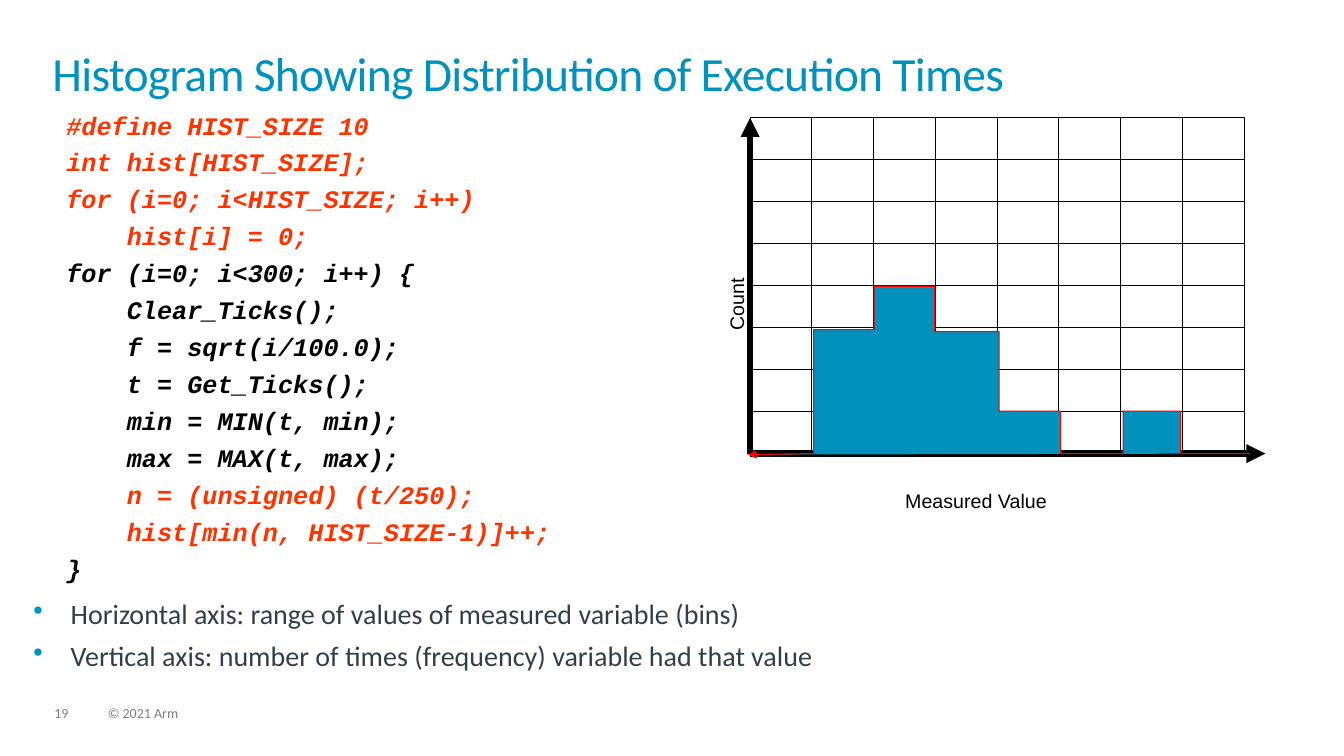
from itertools import product
from lxml.etree import SubElement
from pptx import Presentation
from pptx.dml.color import RGBColor
from pptx.enum.shapes import MSO_CONNECTOR, MSO_SHAPE
from pptx.enum.text import MSO_ANCHOR
from pptx.oxml.ns import qn
from pptx.util import Inches, Pt

BLUE = RGBColor(0x00, 0x91, 0xBD)
SLATE = RGBColor(0x33, 0x3E, 0x48)
GRAY = RGBColor(0x7F, 0x7F, 0x7F)
BLACK = RGBColor(0, 0, 0)
RED = RGBColor(0xFF, 0, 0)
ORANGE = RGBColor(0xFF, 0x33, 0)

TITLE = {"name": "Calibri", "size": Pt(34)}
BODY = {"name": "Calibri", "size": Pt(20)}
FOOT = {"name": "Calibri", "size": Pt(10)}
LABEL = {"name": "Arial", "size": Pt(14)}
MONO = {"name": "Courier New", "size": Pt(18), "bold": True, "italic": True}

CODE = [
    ("#define HIST_SIZE 10", ORANGE),
    ("int hist[HIST_SIZE];", ORANGE),
    ("for (i=0; i<HIST_SIZE; i++)", ORANGE),
    ("    hist[i] = 0;", ORANGE),
    ("for (i=0; i<300; i++) {", BLACK),
    ("    Clear_Ticks();", BLACK),
    ("    f = sqrt(i/100.0);", BLACK),
    ("    t = Get_Ticks();", BLACK),
    ("    min = MIN(t, min);", BLACK),
    ("    max = MAX(t, max);", BLACK),
    ("    n = (unsigned) (t/250);", ORANGE),
    ("    hist[min(n, HIST_SIZE-1)]++;", ORANGE),
    ("}", BLACK),
]
POINTS = [
    "Horizontal axis: range of values of measured variable (bins)",
    "Vertical axis: number of times (frequency) variable had that value",
]
STEPS = [(0.63, 1.23), (1.23, 1.66), (1.83, 1.21), (2.47, 0.42),
         (3.08, 0), (3.7, 0.42), (4.27, 0)]


def add_text(slide, box, lines, style, gap=0, pads=(0, 0, 0, 0)):
    """Add a text box of (text, color) lines and return it."""
    shape = slide.shapes.add_textbox(*map(Inches, box))
    frame = shape.text_frame
    frame.word_wrap = True
    for side, pad in zip(("left", "top", "right", "bottom"), pads):
        setattr(frame, f"margin_{side}", Inches(pad))
    for i, (text, color) in enumerate(lines):
        para = frame.paragraphs[0] if i == 0 else frame.add_paragraph()
        para.space_before = Pt(gap if i else 0)
        run = para.add_run()
        run.text = text
        for key, value in style.items():
            setattr(run.font, key, value)
        run.font.color.rgb = color
    return shape


def add_title(slide, box):
    """Place the slide title."""
    shape = add_text(
        slide, box,
        [("Histogram Showing Distribution of Execution Times", BLUE)], TITLE)
    para = shape.text_frame.paragraphs[0]
    para.line_spacing = 0.85
    para.runs[0].font._element.set("spc", "-50")


def add_points(slide, box):
    """Place the bulleted notes on the axes."""
    shape = add_text(slide, box, [(text, SLATE) for text in POINTS], BODY, 6)
    for para in shape.text_frame.paragraphs:
        props = para._p.get_or_add_pPr()
        props.set("marL", str(Inches(0.37)))
        props.set("indent", str(-Inches(0.37)))
        tint = SubElement(props, qn("a:buClr"))
        SubElement(tint, qn("a:srgbClr"), val=str(BLUE))
        SubElement(props, qn("a:buChar"), char="•")


def add_foot(slide, box):
    """Place the page number and the copyright line."""
    left, top, width, height = box
    for shift, wide, text in ((0, 0.34, "19"),
                              (0.53, width - 0.53, "© 2021 Arm")):
        shape = add_text(slide, (left + shift, top, wide, height),
                         [(text, GRAY)], FOOT)
        shape.text_frame.paragraphs[0].line_spacing = 0.9


def add_tip(shape, end):
    """Put a triangle on one end of a line."""
    line = shape._element.spPr.find(qn("a:ln"))
    SubElement(line, qn(f"a:{end}"), type="triangle")


def add_axis(slide, start, stop):
    """Draw a thick black axis arrow."""
    axis = slide.shapes.add_connector(
        MSO_CONNECTOR.STRAIGHT, *map(Inches, start + stop))
    axis.line.color.rgb = BLACK
    axis.line.width = Pt(4.5)
    add_tip(axis, "tailEnd")
    SubElement(axis._element.spPr, qn("a:effectLst"))


def add_grid(slide, box, count):
    """Draw a square count of empty cells."""
    left, top, width, height = box
    wide, high = width / count, height / count
    for row, col in product(range(count), repeat=2):
        cell = slide.shapes.add_shape(
            MSO_SHAPE.RECTANGLE, Inches(left + col * wide),
            Inches(top + row * high), Inches(wide), Inches(high))
        cell.shadow.inherit = False
        cell.fill.background()
        cell.line.color.rgb = BLACK
        cell.line.width = Pt(0.75)


def add_bars(slide, left, base):
    """Draw the stepped outline of the counts."""
    dots, level = [], 0
    for x, rise in STEPS:
        dots += [(x, level), (x, rise)]
        level = rise
    dots.append((4.96, 0))
    form = slide.shapes.build_freeform(Inches(left - 0.02), Inches(base + 0.01))
    form.add_line_segments(
        [(Inches(left + x), Inches(base - y)) for x, y in dots], close=False)
    bars = form.convert_to_shape()
    bars.shadow.inherit = False
    bars.fill.solid()
    bars.fill.fore_color.rgb = BLUE
    bars.line.color.rgb = RED
    bars.line.width = Pt(0.75)
    add_tip(bars, "headEnd")


def add_plot(slide, box):
    """Draw the histogram with its labels, axes, grid and bars."""
    left, top, width, height = box
    base = top + height
    for x, y, wide, text, turn in (
            (1.44, 3.41, 2.63, "Measured Value", 0),
            (-0.82, 1.41, 1.1, "Count", 270)):
        label = add_text(slide, (left + x, top + y, wide, 0.5),
                         [(text, BLACK)], LABEL, pads=(0.1, 0.05, 0.1, 0))
        label.text_frame.vertical_anchor = MSO_ANCHOR.BOTTOM
        label.rotation = turn
    add_axis(slide, (left, base), (left + width + 0.21, base))
    add_axis(slide, (left, base), (left, top))
    add_grid(slide, box, 8)
    add_bars(slide, left, base)


def main():
    """Build and save the slide."""
    deck = Presentation()
    deck.slide_width, deck.slide_height = Inches(13.33), Inches(7.5)
    slide = deck.slides.add_slide(deck.slide_layouts[6])
    add_foot(slide, (0.54, 7.01, 5.6, 0.15))
    add_title(slide, (0.52, 0.52, 12.28, 0.72))
    add_points(slide, (0.33, 5.92, 12.89, 1.58))
    add_text(slide, (0.56, 1, 7.11, 5.17), CODE, MONO, 4.8,
             (0.1, 0.09, 0.1, 0.05))
    add_plot(slide, (7.44, 1.17, 4.9, 3.33))
    deck.save("out.pptx")


if __name__ == "__main__":
    main()
